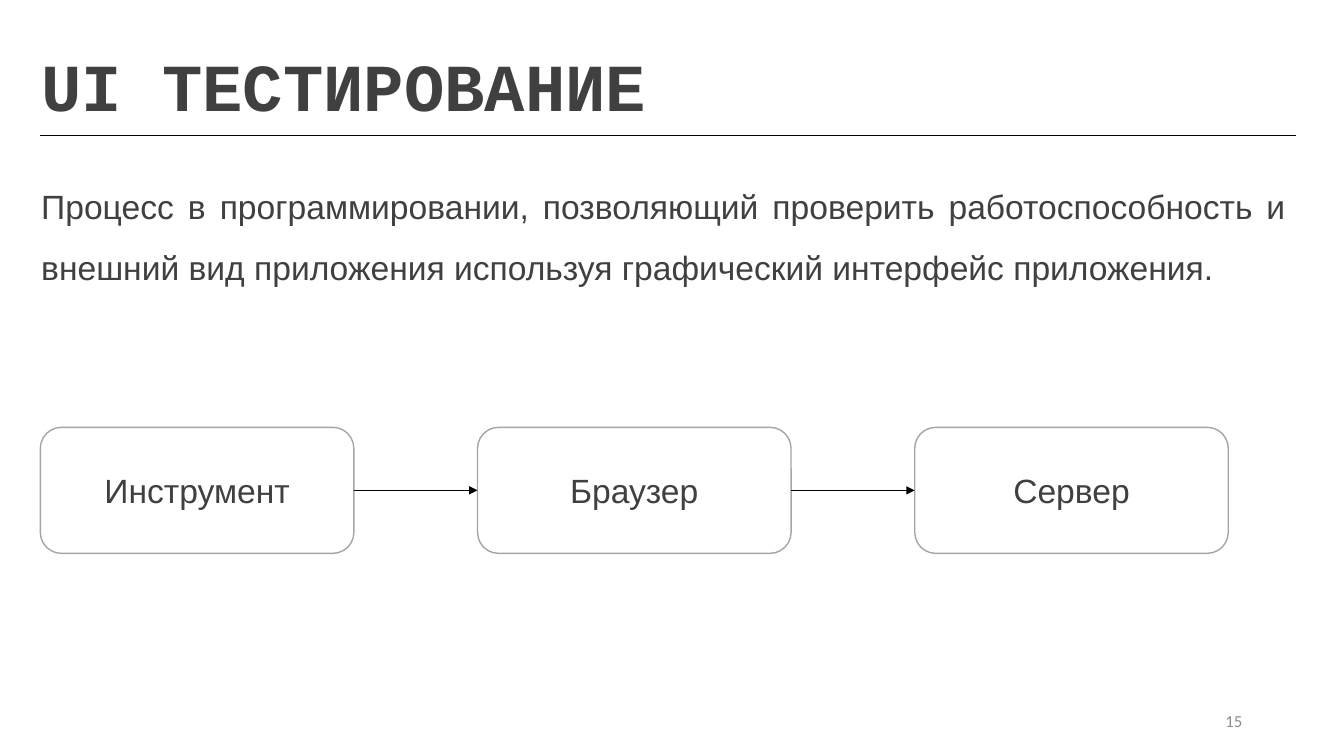
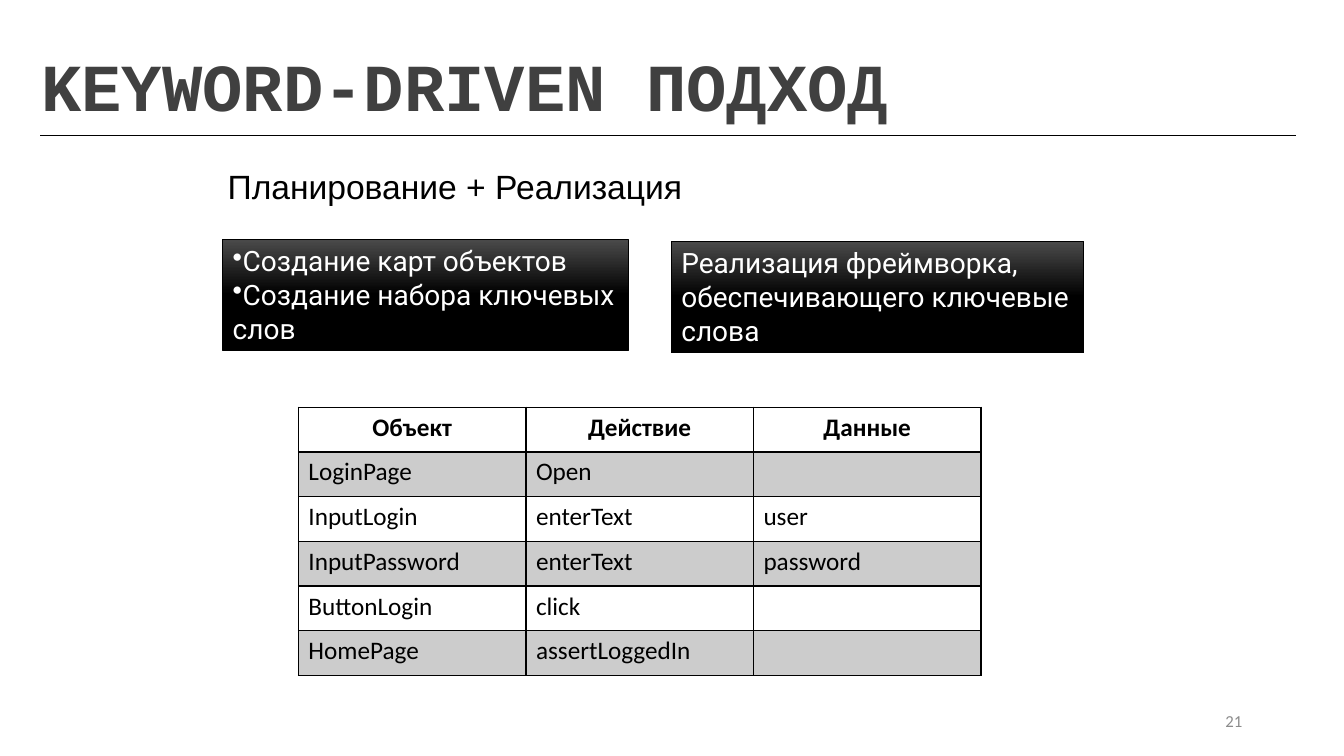
from itertools import pairwise, product
from lxml import etree
from pptx import Presentation
from pptx import util as u
from pptx.dml.color import RGBColor
from pptx.enum import shapes, text
from pptx.oxml import ns

WIDE, HIGH = u.Inches(13.33), u.Inches(7.5)
BLACK = RGBColor(0, 0, 0)
WHITE = RGBColor(255, 255, 255)
DARK = RGBColor(0x40, 0x40, 0x40)
COAL = RGBColor(0x4B, 0x4B, 0x4B)
GREY = RGBColor(0xA5, 0xA5, 0xA5)
PALE = RGBColor(0x8C, 0x8C, 0x8C)
BAND = RGBColor(0xCC, 0xCC, 0xCC)
LEFT, MID, RIGHT = text.PP_ALIGN.LEFT, text.PP_ALIGN.CENTER, text.PP_ALIGN.RIGHT
TOP, HALF = text.MSO_ANCHOR.TOP, text.MSO_ANCHOR.MIDDLE

ROWS = [
    ("Объект", "Действие", "Данные"),
    ("LoginPage", "Open", ""),
    ("InputLogin", "enterText", "user"),
    ("InputPassword", "enterText", "password"),
    ("ButtonLogin", "click", ""),
    ("HomePage", "assertLoggedIn", ""),
]


def col(share):
    return round(WIDE * share / 100)


def row(share):
    return round(HIGH * share / 100)


def area(x, y, w, h):
    return col(x), row(y), col(w), row(h)


def node(home, tag, **attrs):
    return etree.SubElement(home, ns.qn(tag), attrs)


def write(frame, *lines, size=24, font="Arial", color=DARK, bold=False,
          align=LEFT, anchor=TOP, space=None, gap=None, dots=False, grow=False):
    frame.word_wrap = True
    frame.vertical_anchor = anchor
    if grow:
        frame.auto_size = text.MSO_AUTO_SIZE.SHAPE_TO_FIT_TEXT
    for i, line in enumerate(lines):
        par = frame.add_paragraph() if i else frame.paragraphs[0]
        par.alignment = align
        if space:
            par.line_spacing = space
        if gap:
            par.space_before = par.space_after = u.Pt(gap)
        if dots:
            node(par._p.get_or_add_pPr(), "a:buChar", char="•")
        run = par.add_run()
        run.text = line
        run.font.size = u.Pt(size)
        run.font.name = font
        run.font.bold = bold
        run.font.color.rgb = color


def label(slide, place, *lines, **style):
    write(slide.shapes.add_textbox(*area(*place)).text_frame, *lines, **style)


def block(slide, kind, place, edge, width):
    shape = slide.shapes.add_shape(kind, *area(*place))
    shape.shadow.inherit = False
    shape.line.color.rgb = edge
    shape.line.width = u.Pt(width)
    return shape


def card(slide, place, name):
    shape = block(slide, shapes.MSO_SHAPE.ROUNDED_RECTANGLE, place, GREY, 1)
    shape.fill.solid()
    shape.fill.fore_color.rgb = WHITE
    write(shape.text_frame, name, align=MID, anchor=HALF)
    return shape


def panel(slide, place, *lines, dots=False):
    shape = block(slide, shapes.MSO_SHAPE.RECTANGLE, place, BLACK, 0.5)
    shape.fill.gradient()
    shape.fill.gradient_angle = 270
    for stop, color, spot in zip(shape.fill.gradient_stops, (COAL, BLACK), (0, 0.5)):
        stop.color.rgb = color
        stop.position = spot
    write(shape.text_frame, *lines, size=20, font="Roboto", color=WHITE,
          dots=dots, grow=True)


def rule(slide, x1, y1, x2, y2):
    line = slide.shapes.add_connector(
        shapes.MSO_CONNECTOR.STRAIGHT, col(x1), row(y1), col(x2), row(y2))
    line.line.color.rgb = BLACK
    line.line.width = u.Pt(0.5)
    node(line._element.spPr, "a:effectLst")
    return line


def arrow(slide, start, end):
    line = rule(slide, 0, 0, 0, 0)
    line.begin_connect(start, 3)
    line.end_connect(end, 1)
    node(line.line._get_or_add_ln(), "a:tailEnd", type="triangle")


def border(cell, **widths):
    props = cell._tc.get_or_add_tcPr()
    for i, (side, width) in enumerate(widths.items()):
        edge = node(props, "a:ln" + side, w=str(u.Pt(width)))
        node(node(edge, "a:solidFill"), "a:srgbClr", val=str(BLACK))
        props.insert(i, edge)


def table(slide, place, rows):
    frame = slide.shapes.add_table(len(rows), len(rows[0]), *area(*place))
    grid = frame.table
    grid.first_row = grid.horz_banding = False
    for r, c in product(range(len(rows)), range(len(rows[0]))):
        cell, head = grid.cell(r, c), r == 0
        cell.fill.solid()
        cell.fill.fore_color.rgb = BAND if r % 2 else WHITE
        border(cell, L=1, R=1, T=2 if r == 1 else 1, B=2 if head else 1)
        write(cell.text_frame, rows[r][c], size=18, font="Calibri",
              color=BLACK, bold=head, align=MID if head else LEFT)


def page(deck, title, number):
    slide = deck.slides.add_slide(deck.slide_layouts[6])
    label(slide, (2.33, 5.2, 94, 12.13), title, size=48, font="Courier New", bold=True)
    rule(slide, 3, 17.87, 96.4, 17.87)
    label(slide, (70.67, 92.67, 22.5, 5.33), str(number), size=12, font="Calibri",
          color=PALE, align=RIGHT, anchor=HALF)
    return slide


def testing(deck):
    slide = page(deck, "UI ТЕСТИРОВАНИЕ", 15)
    label(slide, (2.33, 21.33, 94.07, 17.47),
          "Процесс в программировании, позволяющий проверить работоспособность "
          "и внешний вид приложения используя графический интерфейс приложения.",
          align=text.PP_ALIGN.JUSTIFY, space=1.5)
    names = ("Инструмент", "Браузер", "Сервер")
    cards = [card(slide, (3 + 32.53 * i, 56.53, 23.33, 16.67), name)
             for i, name in enumerate(names)]
    for start, end in pairwise(cards):
        arrow(slide, start, end)


def keyword(deck):
    slide = page(deck, "KEYWORD-DRIVEN ПОДХОД", 21)
    label(slide, (16.2, 21.33, 67.5, 10.53), "Планирование + Реализация",
          color=BLACK, gap=6)
    panel(slide, (16.58, 31.6, 30.16, 14.8), "Создание карт объектов",
          "Создание набора ключевых слов", dots=True)
    panel(slide, (49.96, 31.87, 30.68, 14.8),
          "Реализация фреймворка, обеспечивающего ключевые слова")
    table(slide, (22.2, 53.87, 50.79, 35.47), ROWS)


def main():
    deck = Presentation()
    deck.slide_width, deck.slide_height = WIDE, HIGH
    testing(deck)
    keyword(deck)
    deck.save("out.pptx")


if __name__ == "__main__":
    main()
